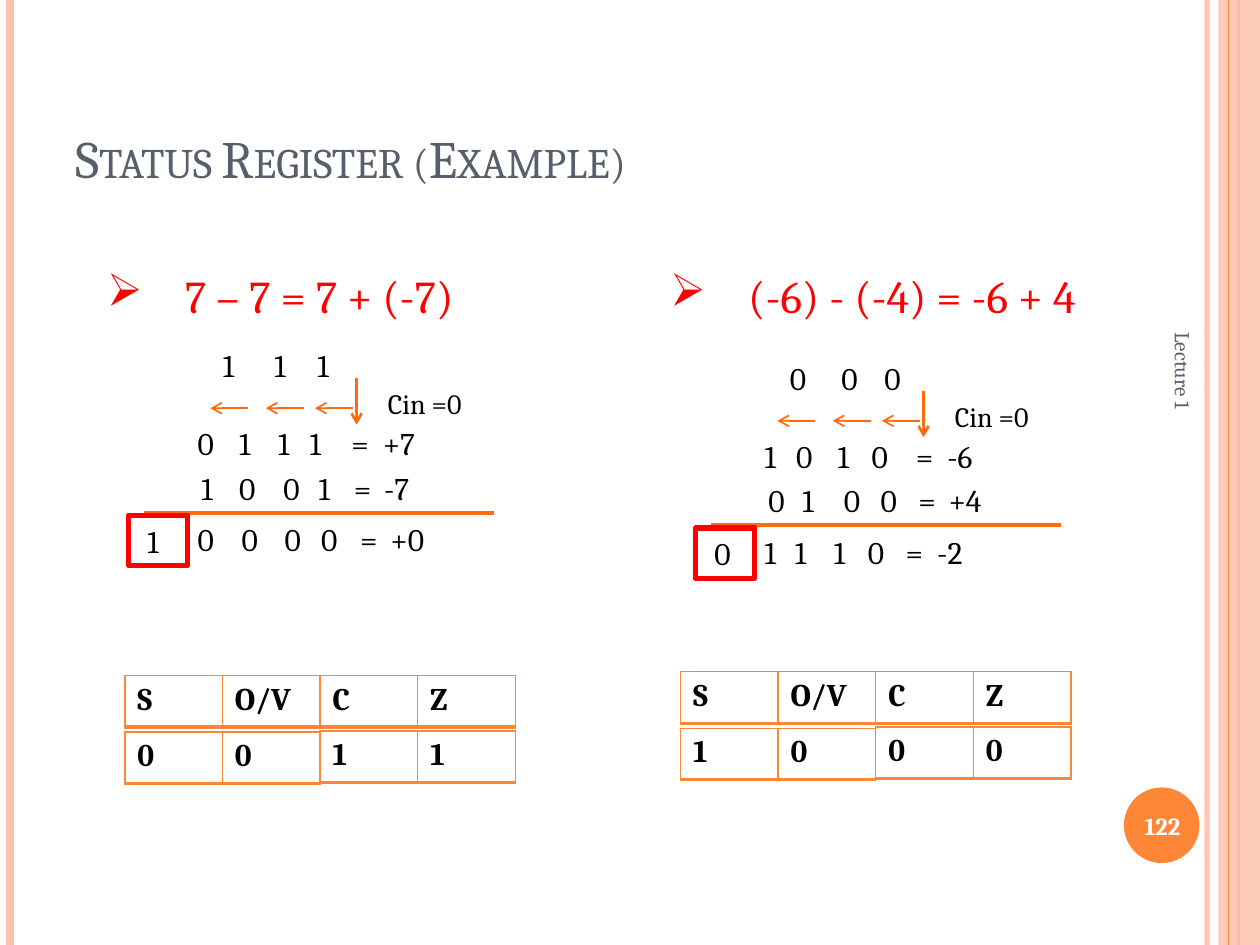
from lxml.etree import SubElement
from pptx import Presentation
from pptx.dml.color import RGBColor
from pptx.enum.shapes import MSO_CONNECTOR as Connector, MSO_SHAPE as Shape
from pptx.enum.text import MSO_ANCHOR as Anchor, PP_ALIGN as Align
from pptx.oxml.ns import qn
from pptx.util import Inches, Pt

FONT = "Cambria"
ORANGE, PEACH, ARROW = "FE8637", "FEC3AE", "FF6B0A"
RED, SLATE, BLACK, WHITE = "FF0000", "575F6D", "000000", "FFFFFF"
CELL_W, CELL_H = 0.775, 0.41


def color(value):
    return RGBColor.from_string(value)


def set_alpha(part, percent):
    for tint in part.iter(qn("a:srgbClr")):
        SubElement(tint, qn("a:alpha")).set("val", str(percent * 1000))


def write(paragraph, words, size, tone=BLACK, bold=False):
    run = paragraph.add_run()
    run.text = words
    run.font.name = FONT
    run.font.size = Pt(size)
    run.font.bold = bold
    run.font.color.rgb = color(tone)
    return run


def add_text(slide, box, words, size=18, tone=BLACK, bold=False, anchor=Anchor.TOP):
    holder = slide.shapes.add_textbox(*map(Inches, box))
    frame = holder.text_frame
    frame.word_wrap = True
    frame.vertical_anchor = anchor
    write(frame.paragraphs[0], words, size, tone, bold)
    return holder


def add_line(slide, start, end, tone, width, arrow=False, alpha=None):
    line = slide.shapes.add_connector(
        Connector.STRAIGHT, *map(Inches, (*start, *end)))
    line.line.color.rgb = color(tone)
    line.line.width = Pt(width)
    properties = line._element.spPr
    if arrow:
        SubElement(line.line._get_or_add_ln(), qn("a:tailEnd")).set("type", "arrow")
    if alpha:
        set_alpha(properties, alpha)
    SubElement(properties, qn("a:effectLst"))


def add_solid(slide, kind, box, tone):
    solid = slide.shapes.add_shape(kind, *map(Inches, box))
    solid.shadow.inherit = False
    solid.fill.solid()
    solid.fill.fore_color.rgb = color(tone)
    solid.line.fill.background()
    return solid


def add_frame(slide, height):
    def stripe(x, tone, width, alpha=None):
        add_line(slide, (x, 0), (x, height), tone, width, alpha=alpha)

    stripe(9.58, PEACH, 3, 93)
    stripe(0.08, PEACH, 4.5)
    stripe(9.83, ORANGE, 1.5)
    band = add_solid(slide, Shape.RECTANGLE, (9.67, 0, 0.33, height), PEACH)
    set_alpha(band._element.spPr, 87)
    stripe(9.75, ORANGE, 0.75)
    add_solid(slide, Shape.OVAL, (8.92, 6.25, 0.6, 0.6), ORANGE)
    number = add_text(slide, (8.89, 6.27, 0.67, 0.57), "122", 14, WHITE, True, Anchor.MIDDLE)
    number.text_frame.paragraphs[0].alignment = Align.CENTER
    footer = add_text(slide, (7.64, 4.09, 3.5, 0.4), "Lecture 1", 12, SLATE,
                      anchor=Anchor.MIDDLE)
    footer.rotation = 90


def add_title(slide, box, words):
    title = add_text(slide, box, words, 30, SLATE, anchor=Anchor.BOTTOM)
    run = title.text_frame.paragraphs[0].runs[0]
    run._r.get_or_add_rPr().set("cap", "small")


def add_heading(slide, box, words):
    heading = add_text(slide, box, words, 26, RED)
    properties = heading.text_frame.paragraphs[0]._p.get_or_add_pPr()
    properties.set("marL", str(Inches(0.62)))
    properties.set("indent", str(-Inches(0.62)))
    SubElement(properties, qn("a:buChar")).set("char", "➢")


def add_row(slide, box, fields, stops):
    row = add_text(slide, box, "\t".join(fields.split()))
    tabs = SubElement(row.text_frame.paragraphs[0]._p.get_or_add_pPr(), qn("a:tabLst"))
    for stop in stops:
        tab = SubElement(tabs, qn("a:tab"))
        tab.set("pos", str(Inches(stop)))
        tab.set("algn", "l")


def add_sum(slide, left, top, carries, rows, carry_out):
    for (dx, dy), (fields, stops) in zip(((0.46, 0.62), (0.49, 0.97), (0.46, 1.38)), rows):
        add_row(slide, (left + dx, top + dy, 2.5, 0.4), fields, stops)
    add_line(slide, (left + 0.13, top + 1.37), (left + 2.91, top + 1.37), ARROW, 2.25)
    add_line(slide, (left + 1.82, top + 0.3), (left + 1.82, top + 0.67), ARROW, 1.5, True)
    add_text(slide, (left + 1.97, top + 0.32, 1.04, 0.37), "Cin =0", 16)
    for carry, dx, tip in zip(carries, (0.66, 1.07, 1.41), (0.66, 1.1, 1.49)):
        add_text(slide, (left + dx, top, 0.25, 0.4), carry)
        add_line(slide, (left + tip + 0.3, top + 0.54), (left + tip, top + 0.54),
                 ARROW, 1, True)
    outline = slide.shapes.add_shape(
        Shape.RECTANGLE, *map(Inches, (left + 0.01, top + 1.39, 0.47, 0.4)))
    outline.shadow.inherit = False
    outline.fill.background()
    outline.line.color.rgb = color(RED)
    outline.line.width = Pt(3)
    frame = outline.text_frame
    frame.margin_left = Inches(0.15)
    frame.margin_right = 0
    frame.vertical_anchor = Anchor.TOP
    frame.paragraphs[0].alignment = Align.LEFT
    write(frame.paragraphs[0], carry_out, 18)


def add_cells(slide, left, top, labels):
    table = slide.shapes.add_table(1, len(labels), *map(
        Inches, (left, top, CELL_W * len(labels), CELL_H))).table
    table.first_row = table.horz_banding = False
    for column, label in enumerate(labels):
        cell = table.cell(0, column)
        write(cell.text_frame.paragraphs[0], label, 18, bold=True)
        properties = cell._tc.get_or_add_tcPr()
        for side, width in (("L", 1), ("R", 1), ("T", 1), ("B", 2)):
            border = SubElement(properties, qn(f"a:ln{side}"))
            border.set("w", str(Pt(width)))
            fill = SubElement(border, qn("a:solidFill"))
            SubElement(fill, qn("a:srgbClr")).set("val", ORANGE)
        cell.fill.background()


def add_flags(slide, left, top, values):
    add_cells(slide, left, top, ("S", "O/V", "C", "Z"))
    for column, value in enumerate(values):
        drop = 0.45 if column < 2 else 0.44
        add_cells(slide, left + column * CELL_W, top + drop, (value,))


def main():
    deck = Presentation()
    deck.slide_width, deck.slide_height = Inches(10), Inches(7.5)
    slide = deck.slides.add_slide(deck.slide_layouts[6])
    add_frame(slide, 7.5)
    add_title(slide, (0.5, 0.3, 8.17, 1.25), "Status Register (Example)")

    add_heading(slide, (0.75, 2.08, 3.86, 0.54), "7 – 7 = 7 + (-7)")
    add_sum(slide, 1.01, 2.7, "111", (
        ("0 1 1 1 = +7", (0.33, 0.64, 0.89, 1.22, 1.47)),
        ("1 0 0 1 = -7", (0.3, 0.65, 0.93, 1.21, 1.45)),
        ("0 0 0 0 = +0", (0.35, 0.69, 0.98, 1.29, 1.53))), "1")
    add_flags(slide, 0.99, 5.36, "0011")

    add_heading(slide, (5.22, 2.08, 3.86, 0.54), "(-6) - (-4) = -6 + 4")
    add_sum(slide, 5.51, 2.8, "000", (
        ("1 0 1 0 = -6", (0.25, 0.58, 0.85, 1.2, 1.45)),
        ("0 1 0 0 = +4", (0.27, 0.6, 0.89, 1.19, 1.43)),
        ("1 1 1 0 = -2", (0.24, 0.55, 0.82, 1.12, 1.37))), "0")
    add_flags(slide, 5.4, 5.33, "1000")
    deck.save("out.pptx")


if __name__ == "__main__":
    main()
